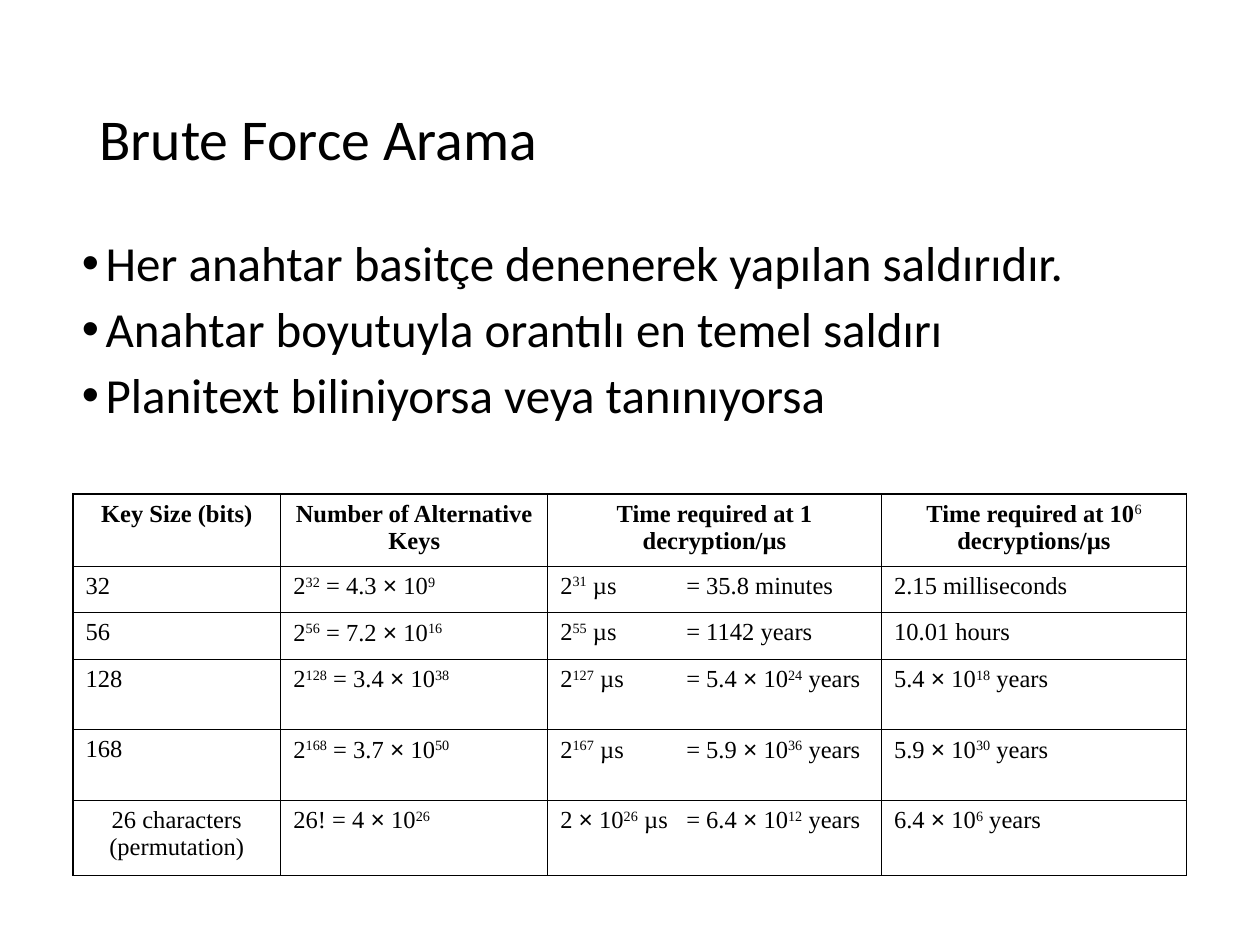
from dataclasses import dataclass

from lxml.etree import SubElement
from pptx import Presentation
from pptx.dml.color import RGBColor
from pptx.enum.text import MSO_ANCHOR, MSO_AUTO_SIZE, PP_ALIGN
from pptx.oxml.ns import qn
from pptx.util import Cm, Pt


@dataclass(frozen=True)
class Theme:
    ink: RGBColor = RGBColor(0, 0, 0)
    paper: RGBColor = RGBColor(255, 255, 255)
    text_font: str = "Calibri"
    table_font: str = "Times New Roman"
    symbol_font: str = "Arial"
    title_size: Pt = Pt(33)
    bullet_size: Pt = Pt(28)
    table_size: Pt = Pt(14)
    inner_line: Pt = Pt(0.45)
    outer_line: Pt = Pt(1.08)


@dataclass(frozen=True)
class Box:
    left: float
    top: float
    width: float
    height: float

    def lengths(self) -> list:
        return [Cm(n) for n in (self.left, self.top, self.width, self.height)]


@dataclass(frozen=True)
class KeyRow:
    """One table row; ^..^ marks a superscript."""
    height: float
    cells: tuple
    header: bool = False
    centre_first: bool = False


THEME = Theme()
TITLE_BOX = Box(1.75, 1.02, 21.92, 3.68)
BULLET_BOX = Box(1.4, 4.7, 22.86, 5.08)
TABLE_LEFT, TABLE_TOP = 1.47, 9.96
COLUMN_WIDTHS = (4.19, 5.38, 6.73, 6.15)

BULLETS = (
    "Her anahtar basitçe denenerek yapılan saldırıdır.",
    "Anahtar boyutuyla orantılı en temel saldırı",
    "Planitext biliniyorsa veya tanınıyorsa",
)

ROWS = (
    KeyRow(1.45, ("Key Size (bits)", "Number of Alternative Keys",
                  "Time required at 1 decryption/µs",
                  "Time required at 10^6^ decryptions/µs"), header=True),
    KeyRow(0.94, ("32", "2^32^ = 4.3 × 10^9^",
                  "2^31^ µs\t= 35.8 minutes", "2.15 milliseconds")),
    KeyRow(0.94, ("56", "2^56^ = 7.2 × 10^16^",
                  "2^55^ µs\t= 1142 years", "10.01 hours")),
    KeyRow(1.42, ("128", "2^128^ = 3.4 × 10^38^",
                  "2^127^ µs\t= 5.4 × 10^24^ years", "5.4 × 10^18^ years")),
    KeyRow(1.42, ("168", "2^168^ = 3.7 × 10^50^",
                  "2^167^ µs\t= 5.9 × 10^36^ years", "5.9 × 10^30^ years")),
    KeyRow(1.52, ("26 characters (permutation)", "26! = 4 × 10^26^",
                  "2 × 10^26^ µs\t= 6.4 × 10^12^ years", "6.4 × 10^6^ years"),
           centre_first=True),
)


def add_run(paragraph, text: str, font_name: str, size: Pt, bold: bool = False):
    run = paragraph.add_run()
    run.text = text
    run.font.name = font_name
    run.font.size = size
    run.font.bold = bold
    run.font.color.rgb = THEME.ink
    return run


def add_formula(paragraph, formula: str, bold: bool) -> None:
    """Add runs, raising the ^..^ parts and setting × in the symbol font."""
    for position, part in enumerate(formula.split("^")):
        raised = position % 2 == 1
        before, times, after = part.partition("×")
        for text in filter(None, (before, times, after)):
            font_name = THEME.symbol_font if text == "×" else THEME.table_font
            run = add_run(paragraph, text, font_name, THEME.table_size,
                          bold and not raised)
            if raised:
                run.font._element.set("baseline", "30000")


def add_bullet(paragraph) -> None:
    properties = paragraph._p.get_or_add_pPr()
    properties.set("marL", str(Cm(0.48)))
    properties.set("indent", str(-Cm(0.48)))
    colour = SubElement(properties, qn("a:buClr"))
    SubElement(colour, qn("a:srgbClr"), val=str(THEME.ink))
    SubElement(properties, qn("a:buFont"), typeface=THEME.symbol_font)
    SubElement(properties, qn("a:buChar"), char="•")


def add_tab_stop(paragraph) -> None:
    tabs = SubElement(paragraph._p.get_or_add_pPr(), qn("a:tabLst"))
    SubElement(tabs, qn("a:tab"), pos=str(Cm(2.54)), algn="l")


def set_borders(cell, outer_sides: dict) -> None:
    properties = cell._tc.get_or_add_tcPr()
    for side, outer in outer_sides.items():
        width = THEME.outer_line if outer else THEME.inner_line
        line = SubElement(properties, qn(f"a:ln{side}"), w=str(width))
        fill = SubElement(line, qn("a:solidFill"))
        SubElement(fill, qn("a:srgbClr"), val=str(THEME.ink))


def draw_title(slide) -> None:
    title = slide.shapes.title
    title.left, title.top, title.width, title.height = TITLE_BOX.lengths()
    frame = title.text_frame
    frame.auto_size = MSO_AUTO_SIZE.NONE
    frame.vertical_anchor = MSO_ANCHOR.MIDDLE
    paragraph = frame.paragraphs[0]
    paragraph.alignment = PP_ALIGN.LEFT
    paragraph.line_spacing = 0.9
    add_run(paragraph, "Brute Force Arama", THEME.text_font, THEME.title_size)


def draw_bullets(slide) -> None:
    frame = slide.shapes.add_textbox(*BULLET_BOX.lengths()).text_frame
    frame.word_wrap = True
    for index, text in enumerate(BULLETS):
        paragraph = frame.add_paragraph() if index else frame.paragraphs[0]
        add_bullet(paragraph)
        paragraph.line_spacing = 0.9
        paragraph.space_before = Pt(7.5 if index else 0)
        add_run(paragraph, text, THEME.text_font, THEME.bullet_size)


def draw_table(slide) -> None:
    box = Box(TABLE_LEFT, TABLE_TOP, sum(COLUMN_WIDTHS), sum(row.height for row in ROWS))
    table = slide.shapes.add_table(len(ROWS), len(COLUMN_WIDTHS), *box.lengths()).table
    table.first_row = table.horz_banding = False
    for column, width in zip(table.columns, COLUMN_WIDTHS):
        column.width = Cm(width)
    last_row, last_column = len(ROWS) - 1, len(COLUMN_WIDTHS) - 1
    for r, row in enumerate(ROWS):
        table.rows[r].height = Cm(row.height)
        for c, formula in enumerate(row.cells):
            cell = table.cell(r, c)
            set_borders(cell, {"L": c == 0, "R": c == last_column,
                               "T": r == 0, "B": r == last_row})
            cell.fill.solid()
            cell.fill.fore_color.rgb = THEME.paper
            paragraph = cell.text_frame.paragraphs[0]
            if "\t" in formula:
                add_tab_stop(paragraph)
            centred = row.header or (row.centre_first and c == 0)
            paragraph.alignment = PP_ALIGN.CENTER if centred else PP_ALIGN.LEFT
            paragraph.space_after = Pt(3)
            add_formula(paragraph, formula, row.header)


def main() -> None:
    presentation = Presentation()
    presentation.slide_width, presentation.slide_height = Cm(25.4), Cm(19.05)
    slide = presentation.slides.add_slide(presentation.slide_layouts[5])  # title only
    draw_title(slide)
    draw_bullets(slide)
    draw_table(slide)
    presentation.save("out.pptx")


if __name__ == "__main__":
    main()
